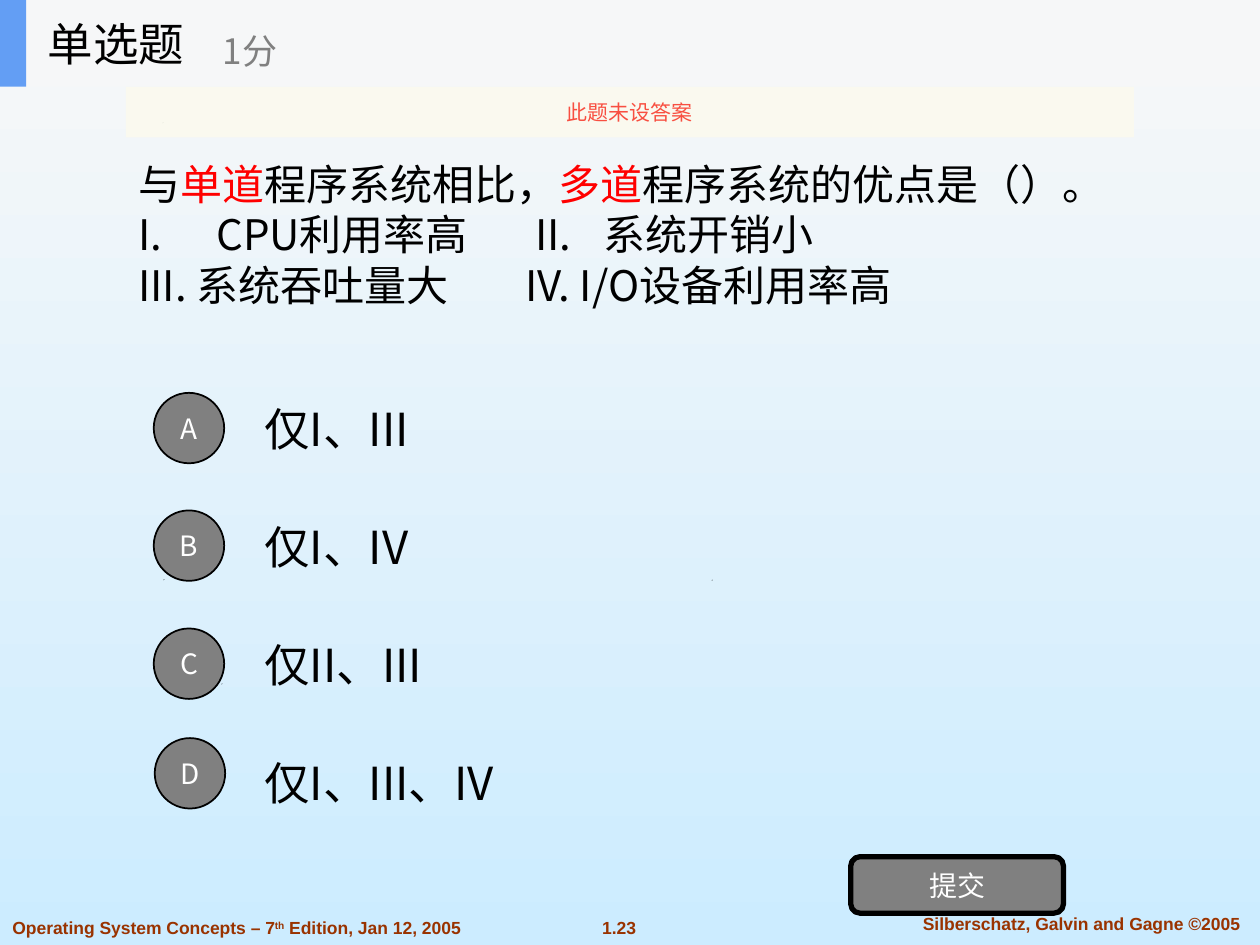
from dataclasses import dataclass

from lxml import etree
from pptx import Presentation
from pptx.dml.color import RGBColor
from pptx.enum.shapes import MSO_SHAPE
from pptx.enum.text import MSO_ANCHOR, PP_ALIGN
from pptx.oxml.ns import qn
from pptx.util import Cm, Pt

RECTANGLE, ROUNDED = MSO_SHAPE.RECTANGLE, MSO_SHAPE.ROUNDED_RECTANGLE
OVAL = MSO_SHAPE.OVAL
LEFT, CENTER = PP_ALIGN.LEFT, PP_ALIGN.CENTER
TOP, MIDDLE = MSO_ANCHOR.TOP, MSO_ANCHOR.MIDDLE


@dataclass(frozen=True)
class Theme:
    font: str = "Noto Sans CJK SC"
    footer_font: str = "Arial"
    black: str = "000000"
    white: str = "FFFFFF"
    gray: str = "808080"
    red: str = "FF0000"
    footer: str = "993300"
    header: str = "F6F7F8"
    accent: str = "639EF4"
    banner: str = "FBFAEF"
    warning: str = "F84F41"
    background: tuple = ("F8F8F8", "CCECFF")
    title_size: int = 26
    question_size: int = 24
    score_size: int = 20
    button_size: int = 16
    banner_size: int = 12
    footer_size: int = 10


THEME = Theme()

QUESTION = [
    [("与", THEME.black), ("单道", THEME.red), ("程序系统相比，", THEME.black),
     ("多道", THEME.red), ("程序系统的优点是（）。", THEME.black)],
    [("I.\tCPU利用率高\tII.\t系统开销小", THEME.black)],
    [("III. 系统吞吐量大\tIV. I/O设备利用率高", THEME.black)],
]
QUESTION_TABS = [(), (1.57, 8.0, 9.37), (7.8,)]

# letter, answer, badge left, badge top
OPTIONS = [
    ("A", "仅I、III", 3.1, 7.92),
    ("B", "仅I、IV", 3.1, 10.29),
    ("C", "仅II、III", 3.1, 12.67),
    ("D", "仅I、III、IV", 3.12, 14.88),
]
OPTION_TOP, OPTION_PITCH = 7.75, 2.38
SPECKS = [(4.47, 13.78), (3.3, 11.68), (14.35, 11.69), (3.28, 2.47)]


def rgb(color):
    return RGBColor.from_string(color)


def lengths(box):
    return [Cm(value) for value in box]


def add_run(paragraph, text, size, color, font=THEME.font, bold=False):
    run = paragraph.add_run()
    run.text = text
    formats = {"size": Pt(size), "name": font, "bold": bold}
    for name, value in formats.items():
        setattr(run.font, name, value)
    run.font.color.rgb = rgb(color)
    properties = run.font._element
    etree.SubElement(properties, qn("a:ea")).set("typeface", font)
    return run


def prepare_frame(shape, alignment, anchor, wrap=True):
    """Lay out the text frame and return its first paragraph."""
    frame = shape.text_frame
    formats = {"word_wrap": wrap, "vertical_anchor": anchor}
    for name, value in formats.items():
        setattr(frame, name, value)
    frame.paragraphs[0].alignment = alignment
    return frame.paragraphs[0]


def add_label(shapes, box, text, size, color):
    textbox = shapes.add_textbox(*lengths(box))
    add_run(prepare_frame(textbox, LEFT, MIDDLE), text, size, color)


def add_block(shapes, kind, box, fill, line_width=0):
    shape = shapes.add_shape(kind, *lengths(box))
    shape.shadow.inherit = False
    shape.fill.solid()
    shape.fill.fore_color.rgb = rgb(fill)
    if line_width:
        shape.line.color.rgb = rgb(THEME.black)
        shape.line.width = Pt(line_width)
    else:
        shape.line.fill.background()
    return shape


def add_button(shapes, kind, box, text, line_width):
    shape = add_block(shapes, kind, box, THEME.gray, line_width)
    paragraph = prepare_frame(shape, CENTER, MIDDLE, wrap=False)
    add_run(paragraph, text, THEME.button_size, THEME.white)


def add_footer(shapes, box, parts, alignment=CENTER):
    """Add a footer line; each part is a text and its baseline shift."""
    textbox = shapes.add_textbox(*lengths(box))
    paragraph = prepare_frame(textbox, alignment, TOP, wrap=False)
    for text, baseline in parts:
        run = add_run(paragraph, text, THEME.footer_size, THEME.footer,
                      THEME.footer_font, bold=True)
        if baseline:
            run.font._element.set("baseline", str(baseline * 1000))


def add_speck(shapes, left, top):
    side = 0.02
    builder = shapes.build_freeform(Cm(left), Cm(top))
    builder.add_line_segments([(Cm(left + side), Cm(top)),
                               (Cm(left), Cm(top + side))])
    speck = builder.convert_to_shape()
    speck.shadow.inherit = False
    speck.fill.solid()
    speck.fill.fore_color.rgb = rgb(THEME.black)
    speck.line.fill.background()


def set_tabs(paragraph, positions):
    tabs = etree.SubElement(paragraph._p.get_or_add_pPr(), qn("a:tabLst"))
    for position in positions:
        tab = etree.SubElement(tabs, qn("a:tab"))
        tab.set("pos", str(Cm(position)))
        tab.set("algn", "l")


def add_question(shapes):
    textbox = shapes.add_textbox(*lengths((2.54, 1.75, 20.32, 5.94)))
    paragraph = prepare_frame(textbox, LEFT, MIDDLE)
    for index, (runs, tabs) in enumerate(zip(QUESTION, QUESTION_TABS)):
        if index:
            paragraph = textbox.text_frame.add_paragraph()
        if tabs:
            set_tabs(paragraph, tabs)
        for text, color in runs:
            add_run(paragraph, text, THEME.question_size, color)


def add_header(shapes):
    header = shapes.add_group_shape().shapes
    add_block(header, RECTANGLE, (0, 0, 25.4, 1.75), THEME.header)
    add_block(header, RECTANGLE, (0, 0, 0.53, 1.75), THEME.accent)
    add_label(header, (0.71, 0, 5.28, 1.75), "单选题", THEME.title_size, THEME.black)
    add_label(header, (4.24, 0.3, 6.35, 1.42), "1分", THEME.score_size, THEME.gray)


def add_banner(shapes):
    banner = add_block(shapes, RECTANGLE, (2.54, 1.75, 20.32, 1.02), THEME.banner)
    color = banner._element.spPr.find(qn("a:solidFill"))[0]
    etree.SubElement(color, qn("a:alpha")).set("val", "90000")
    paragraph = prepare_frame(banner, CENTER, MIDDLE)
    add_run(paragraph, "此题未设答案", THEME.banner_size, THEME.warning)


def set_background(slide):
    fill = slide.background.fill
    fill.gradient()
    fill.gradient_angle = 270
    for position, (stop, color) in enumerate(zip(fill.gradient_stops, THEME.background)):
        stop.color.rgb = rgb(color)
        stop.position = position


def main():
    presentation = Presentation()
    presentation.slide_width, presentation.slide_height = Cm(25.4), Cm(19.05)
    slide = presentation.slides.add_slide(presentation.slide_layouts[6])
    shapes = slide.shapes
    set_background(slide)

    for left, top in SPECKS:
        add_speck(shapes, left, top)
    add_footer(shapes, (11.86, 18.36, 1.24, 0.69), [("1.23", 0)])
    add_footer(shapes, (18.03, 18.29, 7.54, 0.69),
               [("Silberschatz, Galvin and Gagne ©2005", 0)])
    add_footer(shapes, (0, 18.36, 9.58, 0.69),
               [("Operating System Concepts – 7", 0), ("th", 30),
                (" Edition, Jan 12, 2005", 0)], LEFT)

    add_question(shapes)
    for index, (letter, answer, left, top) in enumerate(OPTIONS):
        add_label(shapes, (5.08, OPTION_TOP + index * OPTION_PITCH, 17.78, 1.78),
                  answer, THEME.title_size, THEME.black)
        add_button(shapes, OVAL, (left, top, 1.42, 1.42), letter, 1)
    add_button(shapes, ROUNDED, (17.15, 17.27, 4.29, 1.14), "提交", 3)
    add_header(shapes)
    add_banner(shapes)
    presentation.save("out.pptx")


if __name__ == "__main__":
    main()
